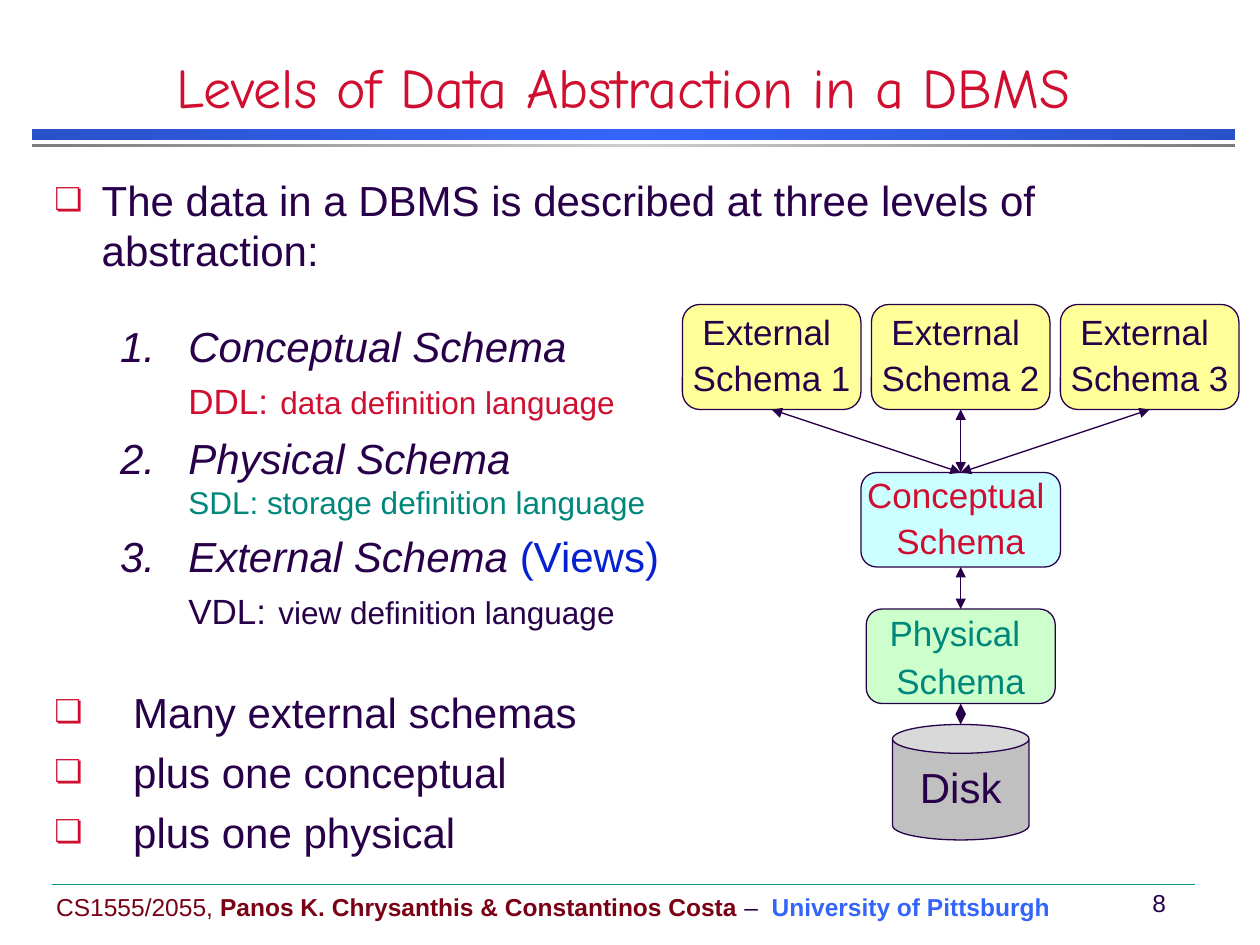
import pptx
import pptx.dml.color
import pptx.enum.shapes
import pptx.enum.text
import pptx.oxml
import pptx.oxml.ns
import pptx.util
import copy

Pt = pptx.util.Pt
Shape = pptx.enum.shapes.MSO_SHAPE
Align = pptx.enum.text.PP_ALIGN
Anchor = pptx.enum.text.MSO_ANCHOR
RGB = pptx.dml.color.RGBColor.from_string
NS = pptx.oxml.ns.nsdecls("a")

COLORS = {
    "ink": "280049", "red": "CF0E30", "teal": "00877B", "views": "0521D0",
    "maroon": "790015", "blue": "3365FB", "deep blue": "2951C9",
    "gray": "7C7C7C", "light gray": "CECECE", "rule": "009688",
    "yellow": "FFFF99", "cyan": "CCFFFF", "green": "CCFFCC", "disk": "C0C0C0",
}

deck = pptx.Presentation()
deck.slide_width, deck.slide_height = Pt(720), Pt(540)
slide = deck.slides.add_slide(deck.slide_layouts[6])


def write(paragraph, runs, paragraph_format):
    """Fill a paragraph with (text, size, colour, font values) runs; "\n" breaks the line."""
    for name, value in paragraph_format.items():
        setattr(paragraph, name, value)
    for text, size, color, *extra in runs:
        if text == "\n":
            paragraph.add_line_break()
            continue
        run = paragraph.add_run()
        run.text = text
        font_format = {"name": "Arial", "size": Pt(size), **(extra[0] if extra else {})}
        for name, value in font_format.items():
            setattr(run.font, name, value)
        run.font.color.rgb = RGB(COLORS[color])


def connect(start, end, color, width, arrows):
    """Draw a straight line between two points, with arrowheads at both ends if asked."""
    line = slide.shapes.add_connector(
        pptx.enum.shapes.MSO_CONNECTOR.STRAIGHT, *[Pt(v) for v in (*start, *end)])
    line.line.color.rgb = RGB(COLORS[color])
    line.line.width = Pt(width)
    if arrows:
        for tag in ("headEnd", "tailEnd"):
            line.line._get_or_add_ln().append(
                pptx.oxml.parse_xml(f'<a:{tag} {NS} type="triangle"/>'))
    line.element.spPr.append(pptx.oxml.parse_xml(f"<a:effectLst {NS}/>"))
    return line


# Double bar under the title
for top, height, edge, middle in ((74, 6, "deep blue", "blue"),
                                  (82, 2, "gray", "light gray")):
    bar = slide.shapes.add_shape(Shape.RECTANGLE, Pt(18), Pt(top), Pt(688), Pt(height))
    bar.shadow.inherit = False
    bar.line.fill.background()
    bar.fill.gradient()
    bar.fill.gradient_angle = 0
    for stop, color, position in zip(bar.fill.gradient_stops, (edge, middle), (0, 0.5)):
        stop.color.rgb = RGB(COLORS[color])
        stop.position = position
    stops = bar.element.xpath(".//a:gsLst")[0]
    last = copy.deepcopy(stops[0])
    last.set("pos", "100000")
    stops.append(last)

# Title, footer and page number
connect((30, 505), (683, 505), "rule", 0.25, False)
bold, plain, italic = {"bold": True}, {"bold": False}, {"italic": True}
single_lines = [
    ((0, 30, 713, 42), Anchor.BOTTOM, Align.CENTER,
     [("Levels of Data Abstraction in a DBMS", 32, "red", {"name": "Comic Neue"})]),
    ((25, 505, 610, 26), Anchor.MIDDLE, Align.LEFT,
     [("CS1555/2055, ", 14, "maroon"),
      ("Panos K. Chrysanthis & Constantinos Costa", 14, "maroon", bold),
      (" –  ", 14, "ink", plain),
      ("University of Pittsburgh", 14, "blue", bold)]),
    ((643, 504, 35, 24), Anchor.MIDDLE, Align.CENTER, [(" 8", 14, "ink")]),
]
for place, anchor, alignment, runs in single_lines:
    frame = slide.shapes.add_textbox(*[Pt(v) for v in place]).text_frame
    frame.word_wrap = True
    frame.vertical_anchor = anchor
    write(frame.paragraphs[0], runs, {"alignment": alignment})

# Body: (margin, hanging indent, space before, bullet, runs)
box_bullet = ('<a:buSzPct {0} val="75000"/>', '<a:buFont {0} typeface="Arial"/>',
              '<a:buChar {0} char="❏"/>')
number = ('<a:buFont {0} typeface="Arial"/>', '<a:buAutoNum {0} type="arabicPeriod"/>')
body = [
    (27, 27, 5.5, box_bullet, "red",
     [("The data in a DBMS is described at three levels of abstraction:", 24, "ink")]),
    (76.5, 39, 26, number, "ink",
     [("Conceptual Schema", 24, "ink", italic), ("\n", 24, "ink"),
      ("DDL:", 20, "red"), (" ", 25, "red"), ("data definition language", 18, "red")]),
    (76.5, 39, 5.5, number, "ink",
     [("Physical Schema", 24, "ink", italic), ("\n", 24, "ink"),
      ("SDL: storage definition language", 18, "teal")]),
    (76.5, 39, 5.5, number, "ink",
     [("External Schema ", 24, "ink", italic), ("(Views)", 24, "views"), ("\n", 24, "ink"),
      ("VDL:", 20, "ink"), (" ", 25, "ink"), ("view definition language", 18, "ink")]),
    (45, 45, 30, box_bullet, "red", [("Many external schemas", 24, "ink")]),
    (45, 45, 5.5, box_bullet, "red", [("plus one conceptual", 24, "ink")]),
    (45, 45, 5.5, box_bullet, "red", [("plus one physical", 24, "ink")]),
]
body_frame = slide.shapes.add_textbox(Pt(24), Pt(96), Pt(666), Pt(402)).text_frame
body_frame.word_wrap = True
for index, (margin, hanging, gap, bullet, bullet_color, runs) in enumerate(body):
    paragraph = body_frame.add_paragraph() if index else body_frame.paragraphs[0]
    write(paragraph, runs, {"space_before": Pt(gap)})
    properties = paragraph._p.get_or_add_pPr()
    properties.set("marL", str(Pt(margin)))
    properties.set("indent", str(-Pt(hanging)))
    color_xml = f'<a:buClr {{0}}><a:srgbClr val="{COLORS[bullet_color]}"/></a:buClr>'
    for xml in (color_xml, *bullet):
        properties.append(pptx.oxml.parse_xml(xml.format(NS)))

# Schema boxes and disk, centred on one axis
axis = 549
blocks = [
    (Shape.CAN, axis, 414, 78, 66, "disk", [[("Disk", 24, "ink")]]),
    (Shape.ROUNDED_RECTANGLE, axis, 270, 114, 54, "cyan",
     [[("Conceptual ", 20, "red")], [("Schema", 20, "red")]]),
    (Shape.ROUNDED_RECTANGLE, axis, 348, 108, 54, "green",
     [[("Physical", 20, "teal"), (" ", 24, "ink")], [("Schema", 20, "teal")]]),
]
for i in range(3):
    blocks.append((Shape.ROUNDED_RECTANGLE, axis + (i - 1) * 108, 174, 102, 60, "yellow",
                   [[("External ", 20, "ink")], [(f"Schema {i + 1}", 20, "ink")]]))
drawn = []
for kind, center, top, width, height, color, lines in blocks:
    block = slide.shapes.add_shape(
        kind, Pt(center - width / 2), Pt(top), Pt(width), Pt(height))
    block.shadow.inherit = False
    block.fill.solid()
    block.fill.fore_color.rgb = RGB(COLORS[color])
    block.line.color.rgb = RGB(COLORS["ink"])
    block.line.width = Pt(0.75)
    frame = block.text_frame
    frame.word_wrap = False
    frame.vertical_anchor = Anchor.MIDDLE
    for index, runs in enumerate(lines):
        paragraph = frame.add_paragraph() if index else frame.paragraphs[0]
        write(paragraph, runs, {"alignment": Align.CENTER, "line_spacing": 0.9,
                                "space_before": Pt(4.6)})
    drawn.append(block)

# Two-way arrows between the levels
disk, conceptual, physical, *externals = drawn
for upper, lower in [*((external, conceptual) for external in externals),
                     (conceptual, physical), (physical, disk)]:
    start = ((upper.left + upper.width / 2) / Pt(1), (upper.top + upper.height) / Pt(1))
    arrow = connect(start, (axis, lower.top / Pt(1)), "ink", 0.75, True)
    arrow.begin_connect(upper, 2)
    if lower is not disk:
        arrow.end_connect(lower, 0)

deck.save("out.pptx")
